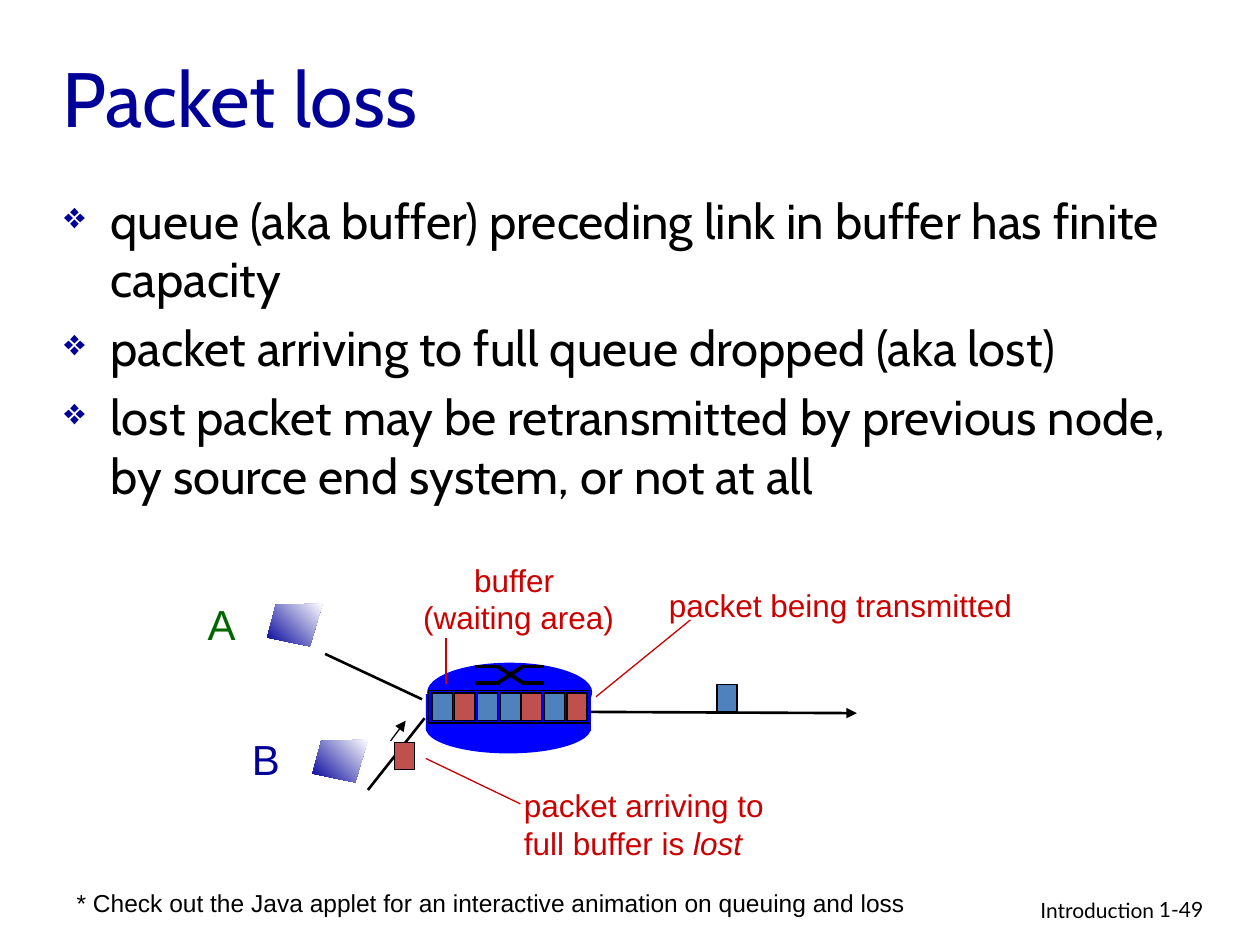
from typing import NamedTuple

import pptx
import pptx.dml.color
import pptx.enum.shapes
import pptx.enum.text
import pptx.util
from lxml import etree
from pptx.oxml.ns import qn

SCALE = 9144  # EMU in one px, 100 px to the inch
HUES = {
    "ink": "000000", "navy": "000099", "green": "006600", "red": "CC0000",
    "router": "0000FF", "blue": "4F81BD", "brick": "C0504D", "white": "FFFFFF",
}
KIND = pptx.enum.shapes.MSO_SHAPE
ALIGN = pptx.enum.text.PP_ALIGN
ANCHOR = pptx.enum.text.MSO_ANCHOR
FIT = pptx.enum.text.MSO_AUTO_SIZE


class Box(NamedTuple):
    left: int
    top: int
    width: int
    height: int


class Label(NamedTuple):
    box: Box
    lines: list[str]
    size: int
    hue: str
    face: str = "Arial"
    align: ALIGN = ALIGN.LEFT
    wrap: bool = False
    anchor: ANCHOR = ANCHOR.TOP
    bullet: bool = False


class Line(NamedTuple):
    start: tuple[int, int]
    end: tuple[int, int]
    hue: str
    width: float
    arrow: bool = False


class Part(NamedTuple):
    kind: KIND
    box: Box
    fill: str | None
    edge: str | None = None


def px(*sizes: int) -> list[pptx.util.Emu]:
    return [pptx.util.Emu(size * SCALE) for size in sizes]


def rgb(hue: str) -> pptx.dml.color.RGBColor:
    return pptx.dml.color.RGBColor.from_string(HUES[hue])


def add_bullet(para) -> None:
    props = para._p.get_or_add_pPr()
    left, hang = px(38, -37)
    props.set("marL", str(left))
    props.set("indent", str(hang))
    tint = etree.SubElement(props, qn("a:buClr"))
    etree.SubElement(tint, qn("a:srgbClr"), val=HUES["navy"])
    etree.SubElement(props, qn("a:buSzPct"), val="75000")
    etree.SubElement(props, qn("a:buChar"), char="❖")


def put_label(slide, label: Label):
    frame = slide.shapes.add_textbox(*px(*label.box)).text_frame
    frame.word_wrap = label.wrap
    frame.auto_size = FIT.NONE if label.wrap else FIT.SHAPE_TO_FIT_TEXT
    frame.vertical_anchor = label.anchor
    for i, line in enumerate(label.lines):
        para = frame.paragraphs[0] if i == 0 else frame.add_paragraph()
        para.text = line
        para.alignment = label.align
        if label.bullet:
            add_bullet(para)
            if i:
                para.space_before = pptx.util.Pt(5.6)
        para.font.size = pptx.util.Pt(label.size)
        para.font.name = label.face
        para.font.color.rgb = rgb(label.hue)
    return frame


def put_line(slide, line: Line) -> None:
    link = slide.shapes.add_connector(
        pptx.enum.shapes.MSO_CONNECTOR.STRAIGHT, *px(*line.start, *line.end))
    link.line.color.rgb = rgb(line.hue)
    link.line.width = pptx.util.Pt(line.width)
    if line.arrow:
        etree.SubElement(link.line._get_or_add_ln(), qn("a:tailEnd"), type="triangle")
    etree.SubElement(link._element.spPr, qn("a:effectLst"))


def put_part(slide, part: Part) -> None:
    shape = slide.shapes.add_shape(part.kind, *px(*part.box))
    shape.shadow.inherit = False
    if part.fill:
        shape.fill.solid()
        shape.fill.fore_color.rgb = rgb(part.fill)
    else:
        shape.fill.background()
    if part.edge:
        shape.line.color.rgb = rgb(part.edge)
        shape.line.width = pptx.util.Pt(0.75)
    else:
        shape.line.fill.background()


def packet(left: int, top: int, fill: str) -> Part:
    return Part(KIND.RECTANGLE, Box(left, top, 16, 22), fill, "ink")


def put_host(slide, left: int, top: int) -> None:
    """Draw the tilted, shaded screen of a sending host."""
    path = slide.shapes.build_freeform(left + 44, top, SCALE)
    path.add_line_segments(
        [(left + 7, top + 1), (left, top + 27), (left + 34, top + 34)], close=True)
    shape = path.convert_to_shape()
    shape.shadow.inherit = False
    shape.line.fill.background()
    shape.fill.gradient()
    shape.fill.gradient_angle = 45
    for stop, hue in zip(shape.fill.gradient_stops, ("navy", "white")):
        stop.color.rgb = rgb(hue)


LABELS = [
    Label(Box(40, 14, 850, 125), ["Packet loss"], 44, "navy", "Cabin",
          wrap=True, anchor=ANCHOR.MIDDLE),
    Label(Box(40, 146, 918, 508), [
        "queue (aka buffer) preceding link in buffer has finite capacity",
        "packet arriving to full queue dropped (aka lost)",
        "lost packet may be retransmitted by previous node, "
        "by source end system, or not at all",
    ], 28, "ink", "Cabin", wrap=True, bullet=True),
    Label(Box(155, 470, 42, 50), ["A"], 24, "green"),
    Label(Box(190, 577, 42, 50), ["B"], 24, "navy"),
    Label(Box(521, 460, 295, 40), ["packet being transmitted"], 18, "red"),
    Label(Box(324, 440, 175, 70), ["buffer ", "(waiting area)"], 18, "red",
          align=ALIGN.CENTER),
    Label(Box(51, 700, 683, 33),
          ["* Check out the Java applet for an interactive animation on queuing and loss"],
          14, "ink"),
    Label(Box(610, 707, 316, 31), ["Introduction"], 12, "ink", "Lato",
          ALIGN.RIGHT, True),
    Label(Box(910, 707, 74, 30), ["1-49"], 12, "ink", "Lato", wrap=True),
]
LOST = Label(Box(406, 619, 214, 70), ["packet arriving to", "full buffer is "], 18, "red")

ROUTER = [
    Part(KIND.OVAL, Box(338, 558, 131, 40), "router"),
    Part(KIND.RECTANGLE, Box(338, 551, 131, 29), "router"),
    Part(KIND.OVAL, Box(339, 526, 131, 47), "router"),
]
CROSS = [
    Line(start, end, "ink", 2.25)
    for near, far in ((529, 542), (542, 529))
    for start, end in (((377, near), (397, near)), ((395, near), (415, far)),
                       ((414, near), (432, near)))
]
LINKS = [
    Line((258, 519), (335, 555), "ink", 1.5),
    Line((292, 627), (337, 570), "ink", 1.5),
    Line((469, 565), (680, 566), "ink", 1.5, True),
    Line((310, 588), (322, 572), "ink", 0.75, True),
]
LEADS = [
    Line((548, 492), (473, 553), "red", 0.75),
    Line((413, 638), (338, 602), "red", 0.75),
    Line((354, 506), (354, 543), "red", 0.75),
]
QUEUE = ["blue", "brick", "blue", "blue", "brick", "blue", "brick"]
PACKETS = [packet(343 + round(i * 107 / 6), 550, hue) for i, hue in enumerate(QUEUE)]
PACKETS += [packet(569, 543, "blue"), packet(313, 589, "brick")]
FRAME = Part(KIND.RECTANGLE, Box(340, 548, 128, 26), None, "ink")


def main() -> None:
    deck = pptx.Presentation()
    deck.slide_width, deck.slide_height = px(1000, 750)
    slide = deck.slides.add_slide(deck.slide_layouts[6])
    for part in ROUTER:
        put_part(slide, part)
    for line in CROSS + LINKS:
        put_line(slide, line)
    for part in PACKETS + [FRAME]:
        put_part(slide, part)
    for line in LEADS:
        put_line(slide, line)
    put_host(slide, 212, 479)
    put_host(slide, 248, 587)
    for label in LABELS:
        put_label(slide, label)
    run = put_label(slide, LOST).paragraphs[-1].add_run()
    run.text = "lost"
    run.font.italic = True
    deck.save("out.pptx")


if __name__ == "__main__":
    main()
